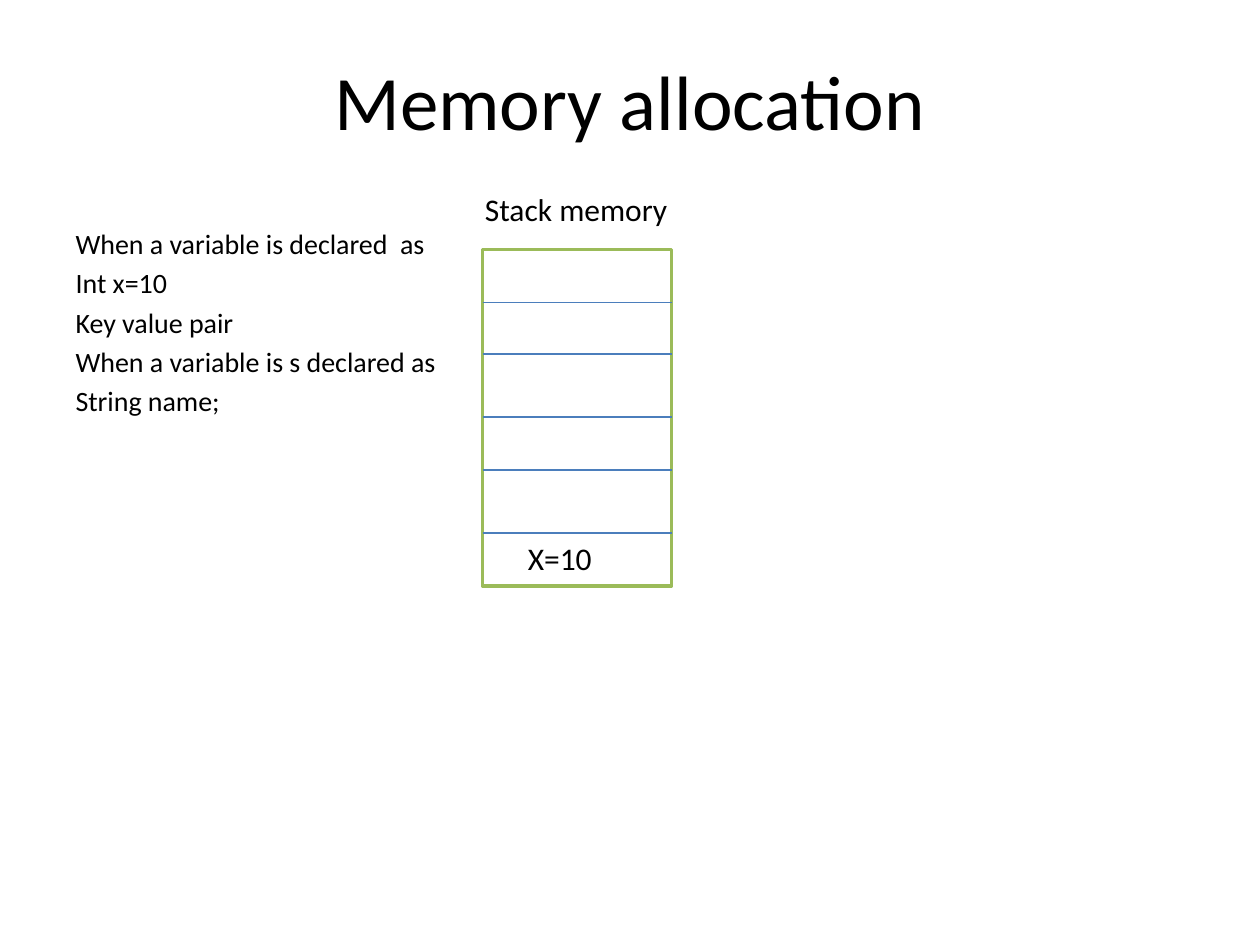
from dataclasses import dataclass

from lxml import etree
from pptx import Presentation
from pptx.dml.color import RGBColor
from pptx.enum import shapes, text
from pptx.oxml import ns
from pptx.util import Inches, Pt


@dataclass(frozen=True)
class Theme:
    font: str = "Calibri"
    ink: RGBColor = RGBColor(0, 0, 0)
    paper: RGBColor = RGBColor(255, 255, 255)
    frame: RGBColor = RGBColor(0x9B, 0xBB, 0x59)
    rule: RGBColor = RGBColor(0x4B, 0x7E, 0xBC)
    title: int = 44
    label: int = 18
    body: int = 16


@dataclass(frozen=True)
class Box:
    left: float
    top: float
    width: float
    height: float

    def place(self) -> tuple:
        return tuple(map(Inches, (self.left, self.top, self.width, self.height)))


@dataclass(frozen=True)
class Label:
    words: str
    box: Box


THEME = Theme()
STACK = Box(3.83, 1.98, 1.5, 2.67)
RULES = (2.4, 2.81, 3.31, 3.73, 4.23)
HEAD = Label("Stack memory", Box(3.75, 1.46, 1.67, 0.4))
CELL = Label("X=10", Box(4.09, 4.23, 0.91, 0.4))
STEPS = (
    "When a variable is declared  as",
    "Int x=10 ",
    "Key value pair",
    "When a variable is s declared as",
    "String name;",
)


def style(para, size: int) -> None:
    para.font.name = THEME.font
    para.font.size = Pt(size)
    para.font.color.rgb = THEME.ink


def fill_holder(holder, box: Box, lines: tuple, size: int) -> None:
    holder.left, holder.top, holder.width, holder.height = box.place()
    holder.text_frame.text = "\n".join(lines)
    for para in holder.text_frame.paragraphs:
        style(para, size)


def add_label(parent, label: Label) -> None:
    frame = parent.add_textbox(*label.box.place()).text_frame
    frame.word_wrap = True
    frame.auto_size = text.MSO_AUTO_SIZE.SHAPE_TO_FIT_TEXT
    frame.text = label.words
    style(frame.paragraphs[0], THEME.label)


def add_rule(parent, box: Box, y: float) -> None:
    line = parent.add_connector(
        shapes.MSO_CONNECTOR.STRAIGHT,
        Inches(box.left), Inches(y), Inches(box.left + box.width), Inches(y),
    )
    line.line.color.rgb = THEME.rule
    line.line.width = Pt(0.75)
    etree.SubElement(line._element.spPr, ns.qn("a:effectLst"))


def add_stack(parent, box: Box) -> None:
    frame = parent.add_shape(shapes.MSO_SHAPE.RECTANGLE, *box.place())
    frame.shadow.inherit = False
    frame.fill.solid()
    frame.fill.fore_color.rgb = THEME.paper
    frame.line.color.rgb = THEME.frame
    frame.line.width = Pt(2)


deck = Presentation()
deck.slide_width, deck.slide_height = Inches(10), Inches(7.5)
slide = deck.slides.add_slide(deck.slide_layouts[1])

# Title
title = slide.shapes.title
fill_holder(title, Box(0.5, 0.17, 9, 1.25), ("Memory allocation",), THEME.title)
title.text_frame.paragraphs[0].alignment = text.PP_ALIGN.CENTER

# Plain list without bullets
body = slide.placeholders[1]
fill_holder(body, Box(0.5, 1.75, 9, 4.95), STEPS, THEME.body)
for para in body.text_frame.paragraphs:
    props = para._p.get_or_add_pPr()
    props.set("marL", "0")
    props.set("indent", "0")
    etree.SubElement(props, ns.qn("a:buNone"))
    # The bullet mark must precede the default run properties
    props.insert(0, props[-1])

# Stack diagram
add_label(slide.shapes, HEAD)
group = slide.shapes.add_group_shape().shapes
add_stack(group, STACK)
for y in RULES:
    add_rule(group, STACK, y)
add_label(group, CELL)

deck.save("out.pptx")
